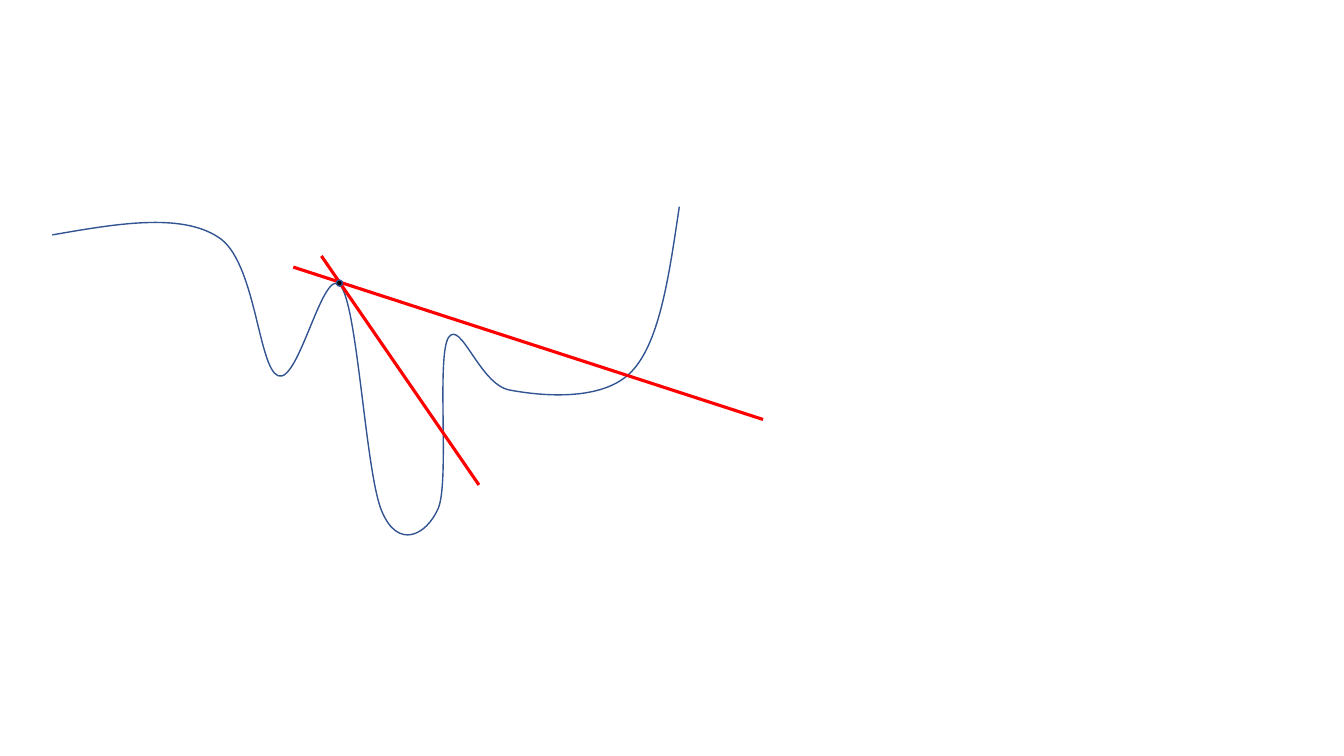
from dataclasses import dataclass

from lxml.etree import SubElement
from pptx import Presentation
from pptx.dml.color import RGBColor
from pptx.enum.shapes import MSO_CONNECTOR, MSO_SHAPE
from pptx.oxml.ns import qn
from pptx.util import Cm, Pt


@dataclass(frozen=True)
class Theme:
    curve: RGBColor = RGBColor(0x32, 0x54, 0x91)
    secant: RGBColor = RGBColor(0xFF, 0x00, 0x00)
    dot: RGBColor = RGBColor(0x00, 0x00, 0x00)
    thin: Pt = Pt(1)
    thick: Pt = Pt(2.25)


theme = Theme()

deck = Presentation()
deck.slide_width, deck.slide_height = Cm(33.87), Cm(19.05)
page = deck.slides.add_slide(deck.slide_layouts[6])


def style_line(shape, color, width):
    shape.line.color.rgb = color
    shape.line.width = width


# Function curve: a start, then two handles and an end for each Bézier segment
curve_start = (1.32, 5.92)
curve_segments = [
    [(2.92, 5.64), (4.55, 5.36), (5.49, 5.97)],
    [(6.45, 6.55), (6.50, 9.27), (7.01, 9.47)],
    [(7.54, 9.68), (8.15, 6.63), (8.59, 7.21)],
    [(9.02, 7.77), (9.22, 11.99), (9.63, 12.90)],
    [(10.03, 13.84), (10.74, 13.51), (11.05, 12.80)],
    [(11.33, 12.07), (11.00, 9.02), (11.30, 8.51)],
    [(11.61, 8.03), (12.09, 9.70), (12.85, 9.83)],
    [(13.64, 9.98), (15.21, 10.13), (15.93, 9.35)],
    [(16.64, 8.59), (16.87, 6.88), (17.12, 5.21)],
]
builder = page.shapes.build_freeform(*map(Cm, curve_start))
for segment in curve_segments:
    builder.add_line_segments([(Cm(x), Cm(y)) for x, y in segment], close=False)
curve = builder.convert_to_shape()
curve.shadow.inherit = False
curve.fill.background()
style_line(curve, theme.curve, theme.thin)

# Turn every three straight pieces into one cubic Bézier segment
outline = curve.element.xpath(".//a:path")[0]
pieces = outline.findall(qn("a:lnTo"))
for first in range(0, len(pieces), 3):
    bezier = SubElement(outline, qn("a:cubicBezTo"))
    for piece in pieces[first:first + 3]:
        bezier.append(piece[0])
        outline.remove(piece)

# Fit the frame to the curve itself, as the lowest handles reach below it
curve.height = Cm(8.28)
outline.set("h", str(curve.height))

# Secants through the marked point
for ends in [(7.39, 6.73, 19.23, 10.57), (8.10, 6.45, 12.07, 12.22)]:
    secant = page.shapes.add_connector(MSO_CONNECTOR.STRAIGHT, *map(Cm, ends))
    style_line(secant, theme.secant, theme.thick)
    SubElement(secant.element.spPr, qn("a:effectLst"))

# Marked point
dot = page.shapes.add_shape(MSO_SHAPE.OVAL, Cm(8.48), Cm(7.06), Cm(0.15), Cm(0.15))
dot.shadow.inherit = False
dot.fill.solid()
dot.fill.fore_color.rgb = theme.dot
style_line(dot, theme.curve, theme.thin)

deck.save("out.pptx")
